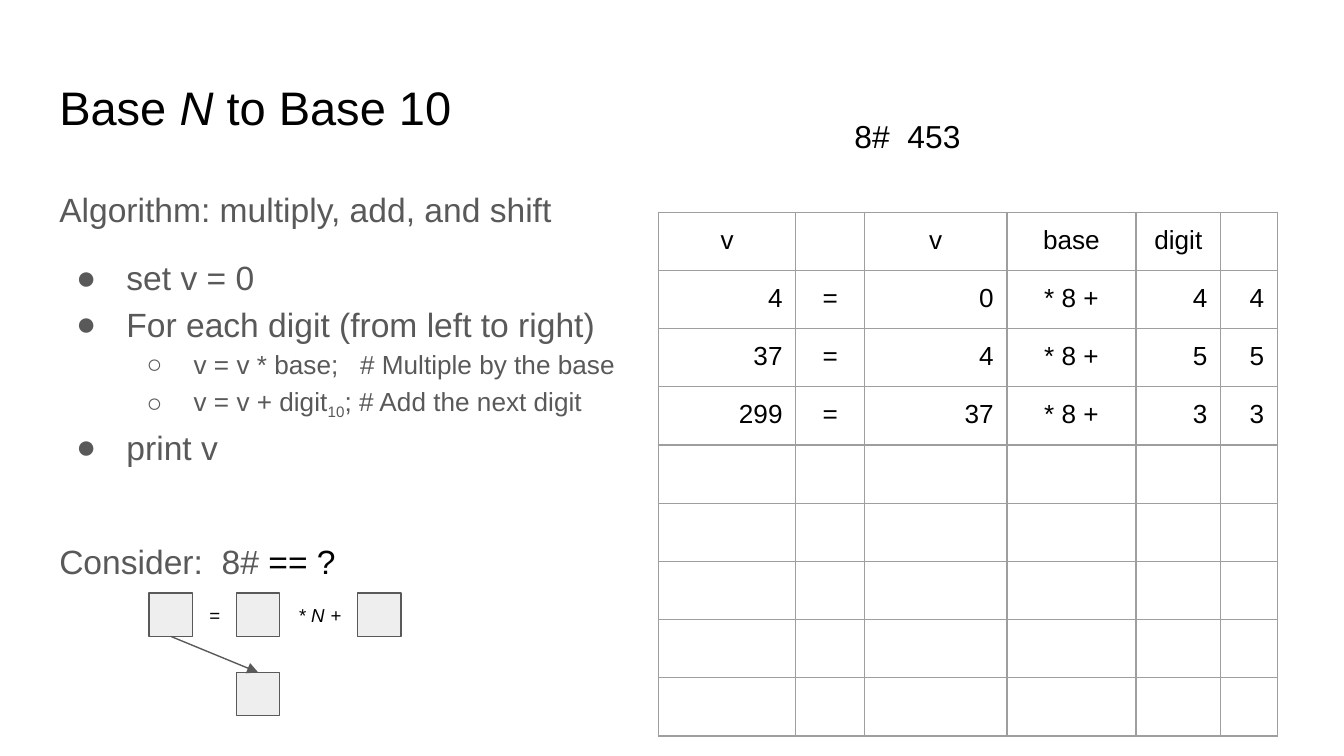
import pptx
import pptx.util
import pptx.dml.color
import pptx.enum.shapes
import pptx.enum.text
import pptx.oxml.ns
import lxml.etree

Cm = pptx.util.Cm
Pt = pptx.util.Pt
ALIGN = pptx.enum.text.PP_ALIGN
ANCHOR = pptx.enum.text.MSO_ANCHOR
COLOURS = {"ink": "000000", "body": "595959", "grid": "9E9E9E", "square": "EEEEEE"}
FONT = "Arial"
INSET = 0.25


def colour(name):
    return pptx.dml.color.RGBColor.from_string(COLOURS[name])


def add_element(parent, tag, **attributes):
    return lxml.etree.SubElement(parent, pptx.oxml.ns.qn(tag), attributes)


def style_span(span, size, ink="ink", italic=None):
    span.font.name = FONT
    span.font.size = Pt(size)
    span.font.color.rgb = colour(ink)
    span.font.italic = italic


def add_spans(para, texts, size, ink="ink"):
    for text in texts:
        span = para.add_run()
        span.text = text
        style_span(span, size, ink, True if text == "N" else None)


def place(shape, box):
    shape.left, shape.top, shape.width, shape.height = (Cm(length) for length in box)


def prepare_frame(frame, anchor=ANCHOR.TOP):
    frame.word_wrap = True
    frame.auto_size = pptx.enum.text.MSO_AUTO_SIZE.NONE
    frame.vertical_anchor = anchor
    frame.margin_left = frame.margin_right = Cm(INSET)
    frame.margin_top = frame.margin_bottom = Cm(INSET)


def set_bullet(para, mark, left, hanging):
    properties = para._p.get_or_add_pPr()
    properties.set("marL", str(Cm(left)))
    properties.set("indent", str(-Cm(hanging)))
    if not mark:
        add_element(properties, "a:buNone")
        return
    add_element(add_element(properties, "a:buClr"), "a:srgbClr", val=COLOURS["body"])
    add_element(properties, "a:buFont", typeface=FONT)
    add_element(properties, "a:buChar", char=mark)


def fill_title(title, box):
    place(title, box)
    prepare_frame(title.text_frame)
    para = title.text_frame.paragraphs[0]
    para.alignment = ALIGN.LEFT
    add_spans(para, ["Base ", "N", " to Base 10"], 25.2)


def fill_algorithm(body, box):
    place(body, box)
    frame = body.text_frame
    prepare_frame(frame)
    kinds = {
        "plain": (0, 18, "", 0, 0),
        "step": (0, 18, "●", 1.27, 0.95),
        "detail": (1, 14, "○", 2.54, 0.89),
    }
    lines = [
        ("plain", 0, ["Algorithm: multiply, add, and shift"]),
        ("step", 12, ["set v = 0"]),
        ("step", 0, ["For each digit (from left to right)"]),
        ("detail", 0, ["v = v * base;   # Multiple by the base"]),
        ("detail", 0, ["v = v + digit", "10", "; # Add the next digit"]),
        ("step", 0, ["print v"]),
        ("plain", 36, ["Consider:  8# ", "== ?"]),
    ]
    for index, (kind, before, texts) in enumerate(lines):
        level, size, mark, left, hanging = kinds[kind]
        para = frame.add_paragraph() if index else frame.paragraphs[0]
        para.level = level
        para.alignment = ALIGN.LEFT
        para.line_spacing = 1.15
        para.space_before = Pt(before)
        para.space_after = Pt(0)
        set_bullet(para, mark, left, hanging)
        add_spans(para, texts, size, "body")
    frame.paragraphs[4].runs[1].font._element.set("baseline", "-25000")
    frame.paragraphs[-1].runs[1].font.color.rgb = colour("ink")


def add_example(page, box):
    label = page.shapes.add_textbox(*(Cm(length) for length in box))
    prepare_frame(label.text_frame)
    label.text_frame.auto_size = pptx.enum.text.MSO_AUTO_SIZE.SHAPE_TO_FIT_TEXT
    para = label.text_frame.paragraphs[0]
    para.line_spacing = 1.15
    para.space_after = Pt(12)
    add_spans(para, ["8#  453"], 17)


def format_cell(cell, text, alignment):
    cell.margin_left = cell.margin_right = Cm(INSET)
    cell.margin_top = cell.margin_bottom = Cm(INSET)
    properties = cell._tc.get_or_add_tcPr()
    for side in ("a:lnL", "a:lnR", "a:lnT", "a:lnB"):
        border = add_element(properties, side, w=str(Pt(0.75)))
        add_element(add_element(border, "a:solidFill"), "a:srgbClr", val=COLOURS["grid"])
    cell.fill.background()
    para = cell.text_frame.paragraphs[0]
    para.alignment = alignment
    if text:
        add_spans(para, [text], 14)
    else:
        add_element(para._p, "a:endParaRPr", sz="1400")


def add_trace_table(page, box):
    widths = [2.59, 1.3, 2.69, 2.44, 1.6, 1.07]
    rows = [["v", "", "v", "base", "digit", ""]]
    value = 0
    for digit in (4, 5, 3):
        total = value * 8 + digit
        rows.append([str(total), "=", str(value), "* 8 +", str(digit), str(digit)])
        value = total
    rows += [[""] * len(widths)] * 5
    frame = page.shapes.add_table(len(rows), len(widths), *(Cm(length) for length in box))
    table = frame.table
    table.first_row = table.horz_banding = False
    for column, width in zip(table.columns, widths):
        column.width = Cm(width)
    for row_index, texts in enumerate(rows):
        table.rows[row_index].height = Cm(box[3] / len(rows))
        for column_index, text in enumerate(texts):
            centred = row_index == 0 or column_index in (1, 3)
            alignment = ALIGN.CENTER if centred else ALIGN.RIGHT
            format_cell(table.cell(row_index, column_index), text, alignment)


def add_shift_diagram(page, box):
    left, top, width, height = box
    side = 0.82
    group = page.shapes.add_group_shape()

    def add_square(x, y):
        square = group.shapes.add_shape(
            pptx.enum.shapes.MSO_SHAPE.RECTANGLE, Cm(x), Cm(y), Cm(side), Cm(side))
        square.shadow.inherit = False
        square.fill.solid()
        square.fill.fore_color.rgb = colour("square")
        square.line.color.rgb = colour("body")
        square.line.width = Pt(0.75)
        return square

    result = add_square(left, top)
    add_square(left + 1.65, top)
    add_square(left + width - side, top)
    shifted = add_square(left + 1.65, top + height - side)

    for text, offset, label_width in (
            ("=", 0.83, side), ("*", 2.49, side), ("N", 2.72, 0.94), ("+", 3.12, side)):
        label = group.shapes.add_textbox(
            Cm(left + offset), Cm(top), Cm(label_width), Cm(side))
        prepare_frame(label.text_frame, ANCHOR.MIDDLE)
        para = label.text_frame.paragraphs[0]
        para.alignment = ALIGN.CENTER
        add_spans(para, [text], 10)

    arrow = group.shapes.add_connector(
        pptx.enum.shapes.MSO_CONNECTOR.STRAIGHT,
        Cm(left + side / 2), Cm(top + side),
        Cm(left + 1.65 + side / 2), Cm(top + height - side))
    arrow.begin_connect(result, 2)
    arrow.end_connect(shifted, 0)
    arrow.line.color.rgb = colour("body")
    arrow.line.width = Pt(0.75)
    add_element(arrow.line._get_or_add_ln(), "a:tailEnd", type="triangle")
    add_element(arrow._element.spPr, "a:effectLst")


def main():
    deck = pptx.Presentation()
    deck.slide_width = Cm(25.4)
    deck.slide_height = Cm(14.29)
    page = deck.slides.add_slide(deck.slide_layouts[1])
    fill_title(page.shapes.title, (0.87, 1.24, 23.67, 1.6))
    fill_algorithm(page.placeholders[1], (0.87, 3.2, 23.67, 9.5))
    add_example(page, (15.9, 1.85, 5.74, 1.78))
    add_trace_table(page, (12.45, 4.01, 11.69, 9.9))
    add_shift_diagram(page, (2.82, 11.21, 4.76, 2.32))
    deck.save("out.pptx")


if __name__ == "__main__":
    main()
